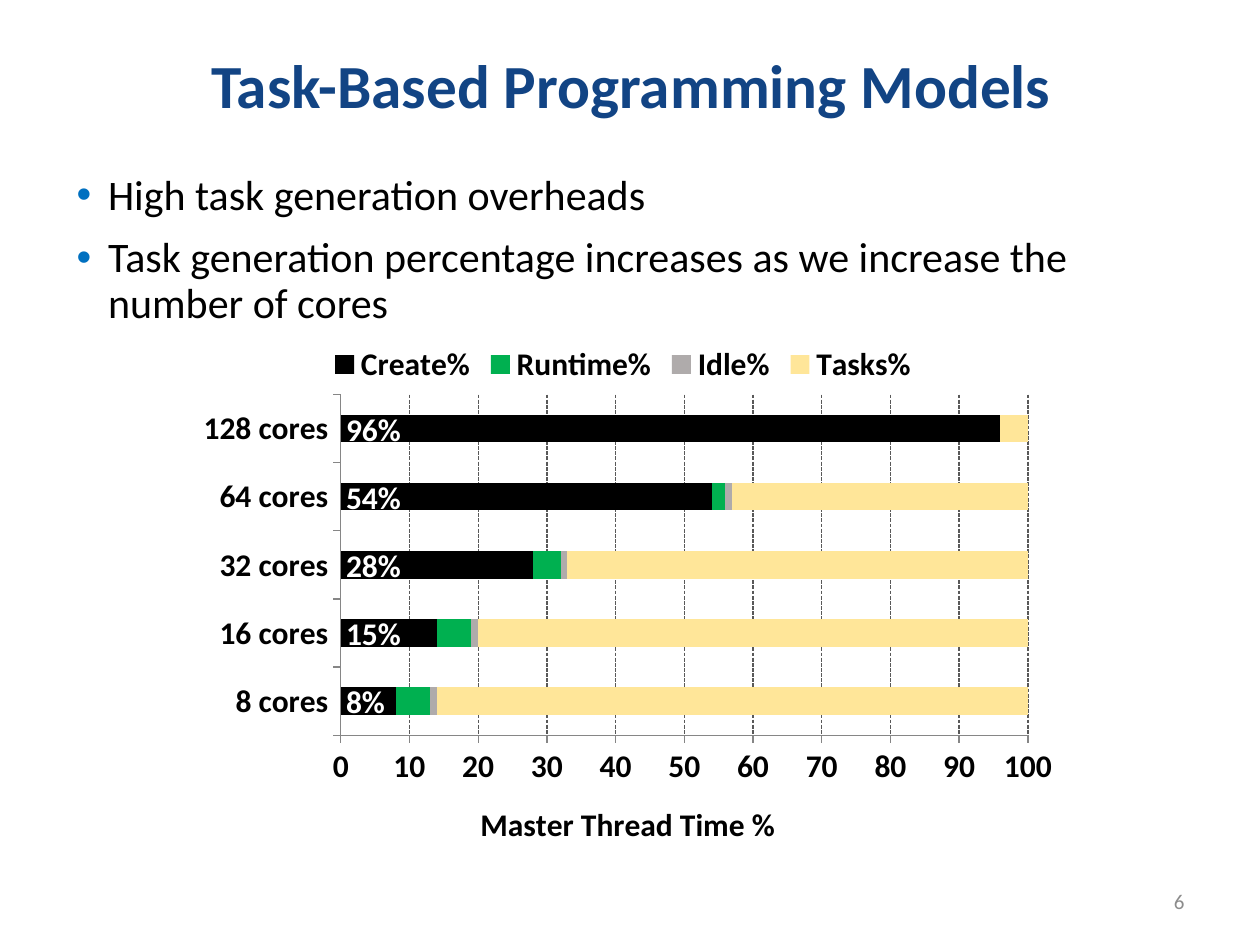
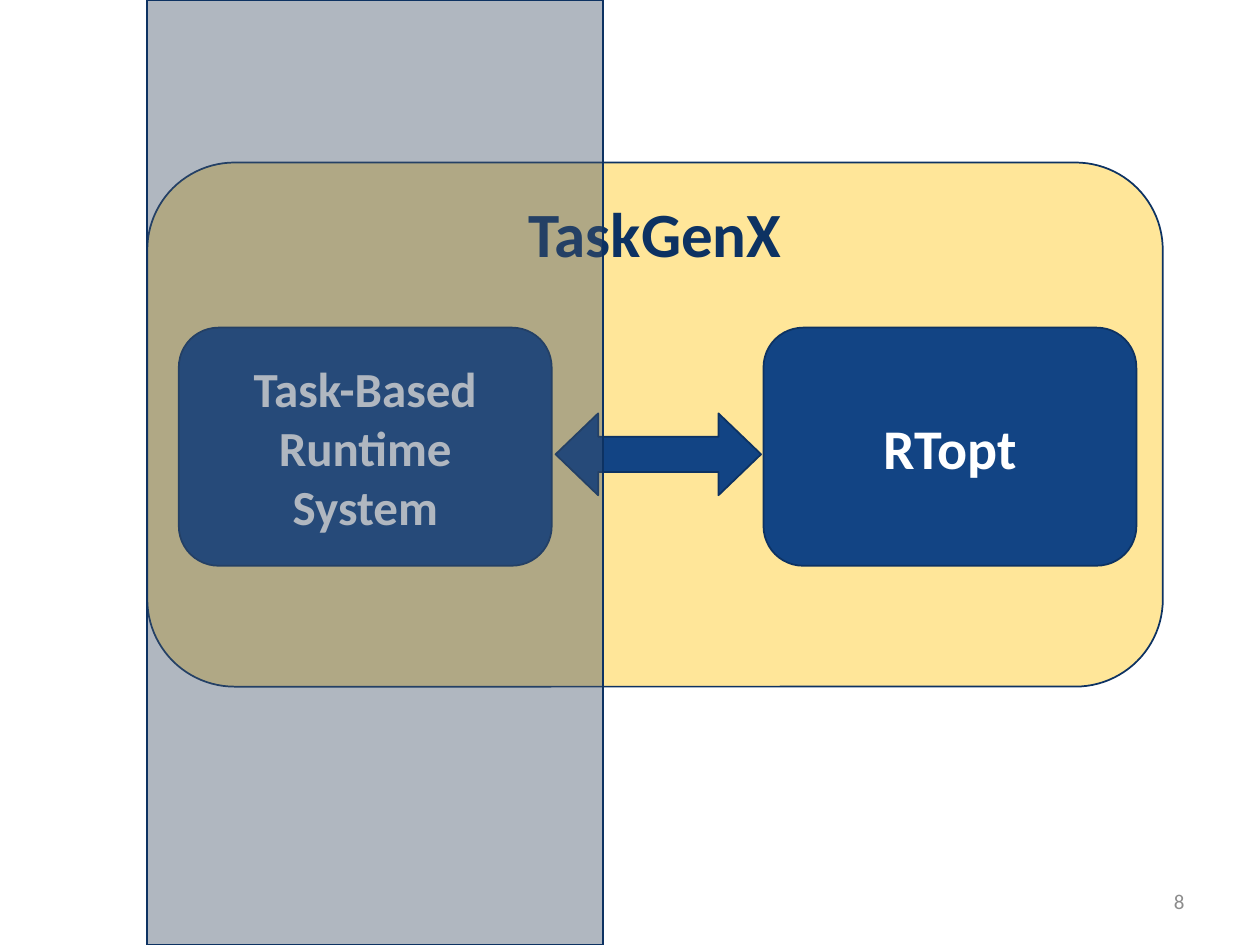
"""Builds two slides on task-based programming models and TaskGenX."""
from dataclasses import dataclass

import lxml.etree
import pptx
import pptx.chart.data
import pptx.dml.color
import pptx.enum.chart
import pptx.enum.dml
import pptx.enum.shapes
import pptx.enum.text
import pptx.oxml
import pptx.oxml.ns
import pptx.util

Pt = pptx.util.Pt
qn = pptx.oxml.ns.qn
ALIGN = pptx.enum.text.PP_ALIGN
ANCHOR = pptx.enum.text.MSO_ANCHOR
SHAPE = pptx.enum.shapes.MSO_SHAPE


@dataclass(frozen=True)
class Theme:
    font: str = "Calibri"
    navy: str = "124484"
    outline: str = "0D3262"
    sand: str = "FFE699"
    green: str = "00B050"
    silver: str = "AFABAB"
    slate: str = "44546A"
    bullet: str = "0070C0"
    black: str = "000000"
    white: str = "FFFFFF"
    grid: str = "595959"
    axis: str = "868686"
    page_gray: str = "8C8C8C"
    title_size: float = 35
    body_size: float = 24
    chart_size: float = 18
    page_size: float = 12
    panel_size: float = 36
    runtime_size: float = 28
    optimizer_size: float = 32


THEME = Theme()
CORES = ["8 cores", "16 cores", "32 cores", "64 cores", "128 cores"]
THREAD_TIME = [
    ("Create%", (8, 14, 28, 54, 96), THEME.black),
    ("Runtime%", (5, 5, 4, 2, 0), THEME.green),
    ("Idle%", (1, 1, 1, 1, 0), THEME.silver),
    ("Tasks%", (87, 81, 68, 43, 4), THEME.sand),
]
CREATE_LABELS = ["96%", "54%", "28%", "15%", "8%"]
CHART_BOUNDS = (100, 188.6, 512, 302.4)
PLOT_BOUNDS = (194.7, 225.5, 392.7, 194.7)


def rgb(color):
    return pptx.dml.color.RGBColor.from_string(color)


def style_font(font, size, color, bold=False):
    font.name = THEME.font
    font.size = Pt(size)
    font.bold = bold
    font.color.rgb = rgb(color)


def write(frame, lines, size, color, bold=False, align=ALIGN.LEFT, anchor=ANCHOR.TOP):
    frame.text = "\n".join(lines)
    frame.word_wrap = True
    frame.vertical_anchor = anchor
    for para in frame.paragraphs:
        para.alignment = align
        for span in para.runs:
            style_font(span.font, size, color, bold)


def add_text(slide, bounds, lines, size, color, **options):
    box = slide.shapes.add_textbox(*map(Pt, bounds))
    write(box.text_frame, lines, size, color, **options)
    return box.text_frame


def add_title(slide, title):
    frame = add_text(slide, (36.7, 17.3, 648, 66.2), [title], THEME.title_size,
                     THEME.navy, bold=True, align=ALIGN.CENTER, anchor=ANCHOR.MIDDLE)
    frame.paragraphs[0].line_spacing = 0.9


def add_page_number(slide, number):
    add_text(slide, (516.2, 500.4, 167.8, 28.8), [str(number)], THEME.page_size,
             THEME.page_gray, align=ALIGN.RIGHT, anchor=ANCHOR.MIDDLE)


def add_bullets(slide, bounds, lines):
    frame = add_text(slide, bounds, lines, THEME.body_size, THEME.black)
    for index, para in enumerate(frame.paragraphs):
        para.line_spacing = 0.9
        para.space_before = Pt(10 if index else 0)
        properties = para._p.get_or_add_pPr()
        properties.set("marL", str(Pt(18)))
        properties.set("indent", str(-Pt(18)))
        color = lxml.etree.SubElement(properties, qn("a:buClr"))
        lxml.etree.SubElement(color, qn("a:srgbClr"), val=THEME.bullet)
        lxml.etree.SubElement(properties, qn("a:buFont"), typeface="Arial")
        lxml.etree.SubElement(properties, qn("a:buChar"), char="•")


def add_block(slide, kind, bounds, fill):
    block = slide.shapes.add_shape(kind, *map(Pt, bounds))
    block.shadow.inherit = False
    block.fill.solid()
    block.fill.fore_color.rgb = rgb(fill)
    block.line.color.rgb = rgb(THEME.outline)
    block.line.width = Pt(1)
    return block


def add_label_block(slide, bounds, fill, label, size, color, anchor=ANCHOR.MIDDLE):
    block = add_block(slide, SHAPE.ROUNDED_RECTANGLE, bounds, fill)
    write(block.text_frame, [label], size, color, bold=True,
          align=ALIGN.CENTER, anchor=anchor)


def set_opacity(shape, percent):
    color = shape.fill._xPr.find(qn("a:solidFill")).find(qn("a:srgbClr"))
    lxml.etree.SubElement(color, qn("a:alpha"), val=str(percent * 1000))


def place_plot(chart, chart_bounds, plot_bounds):
    area = chart._chartSpace.chart.plotArea
    for old_layout in area.findall(qn("c:layout")):
        area.remove(old_layout)
    layout = pptx.oxml.parse_xml(f"<c:layout {pptx.oxml.ns.nsdecls('c')}/>")
    area.insert(0, layout)
    manual = lxml.etree.SubElement(layout, qn("c:manualLayout"))
    chart_left, chart_top, chart_width, chart_height = chart_bounds
    left, top, width, height = plot_bounds
    settings = {"layoutTarget": "inner", "xMode": "edge", "yMode": "edge",
                "x": (left - chart_left) / chart_width,
                "y": (top - chart_top) / chart_height,
                "w": width / chart_width, "h": height / chart_height}
    for name, value in settings.items():
        lxml.etree.SubElement(manual, qn(f"c:{name}"), val=str(value))


def style_axes(chart, value_title):
    for axis in (chart.category_axis, chart.value_axis):
        axis.major_tick_mark = pptx.enum.chart.XL_TICK_MARK.OUTSIDE
        axis.minor_tick_mark = pptx.enum.chart.XL_TICK_MARK.NONE
        axis.format.line.color.rgb = rgb(THEME.axis)
        axis.format.line.width = Pt(0.75)
        style_font(axis.tick_labels.font, THEME.chart_size, THEME.black, True)
    chart.category_axis.has_major_gridlines = False
    values = chart.value_axis
    values.minimum_scale, values.maximum_scale, values.major_unit = 0, 100, 10
    values.has_major_gridlines = True
    grid = values.major_gridlines.format.line
    grid.color.rgb = rgb(THEME.grid)
    grid.width = Pt(0.75)
    grid.dash_style = pptx.enum.dml.MSO_LINE.SQUARE_DOT
    title_frame = values.axis_title.text_frame
    title_frame.text = value_title
    style_font(title_frame.paragraphs[0].runs[0].font, THEME.chart_size,
               THEME.black, True)


def add_thread_time_chart(slide):
    data = pptx.chart.data.CategoryChartData()
    data.categories = CORES
    for name, values, _ in THREAD_TIME:
        data.add_series(name, values)
    kind = pptx.enum.chart.XL_CHART_TYPE.BAR_STACKED
    chart = slide.shapes.add_chart(kind, *map(Pt, CHART_BOUNDS), data).chart
    style_font(chart.font, THEME.chart_size, THEME.black, True)
    chart.has_title = False
    chart.has_legend = True
    chart.legend.position = pptx.enum.chart.XL_LEGEND_POSITION.TOP
    chart.legend.include_in_layout = False
    style_font(chart.legend.font, THEME.chart_size, THEME.black, True)
    plot = chart.plots[0]
    plot.vary_by_categories = False
    plot.gap_width, plot.overlap = 150, 100
    for series, (_, _, color) in zip(plot.series, THREAD_TIME):
        series.format.fill.solid()
        series.format.fill.fore_color.rgb = rgb(color)
    style_axes(chart, "Master Thread Time %")
    place_plot(chart, CHART_BOUNDS, PLOT_BOUNDS)


def add_bar_labels(slide, labels):
    left, top, _, height = PLOT_BOUNDS
    row_height = height / len(labels)
    for row, label in enumerate(labels):
        bounds = (left - 4, top + row * row_height, 57.6, row_height)
        add_text(slide, bounds, [label], THEME.chart_size, THEME.white,
                 bold=True, anchor=ANCHOR.MIDDLE)


def build_overhead_slide(slide):
    add_title(slide, "Task-Based Programming Models")
    add_bullets(slide, (36.7, 95.8, 648, 96.5), [
        "High task generation overheads",
        "Task generation percentage increases as we increase the number of cores",
    ])
    add_thread_time_chart(slide)
    add_bar_labels(slide, CREATE_LABELS)
    add_page_number(slide, 6)


def build_taskgenx_slide(slide):
    add_label_block(slide, (84.2, 92.9, 580.3, 299.5), THEME.sand, "TaskGenX",
                    THEME.panel_size, THEME.outline, ANCHOR.TOP)
    parts = [(102.2, "Task-Based Runtime System", THEME.runtime_size),
             (436.3, "RTopt", THEME.optimizer_size)]
    for left, label, size in parts:
        add_label_block(slide, (left, 187.2, 213.1, 136.1), THEME.navy, label,
                        size, THEME.white)
    arrow = add_block(slide, SHAPE.LEFT_RIGHT_ARROW, (317.5, 236.2, 117.4, 46.8),
                      THEME.navy)
    arrow.adjustments[0], arrow.adjustments[1] = 0.43, 0.52
    veil = add_block(slide, SHAPE.RECTANGLE, (84.2, 0, 260.6, 540), THEME.slate)
    set_opacity(veil, 42)
    add_page_number(slide, 8)


def main():
    deck = pptx.Presentation()
    deck.slide_width, deck.slide_height = Pt(720), Pt(540)
    for build in (build_overhead_slide, build_taskgenx_slide):
        build(deck.slides.add_slide(deck.slide_layouts[6]))
    deck.save("out.pptx")


if __name__ == "__main__":
    main()
